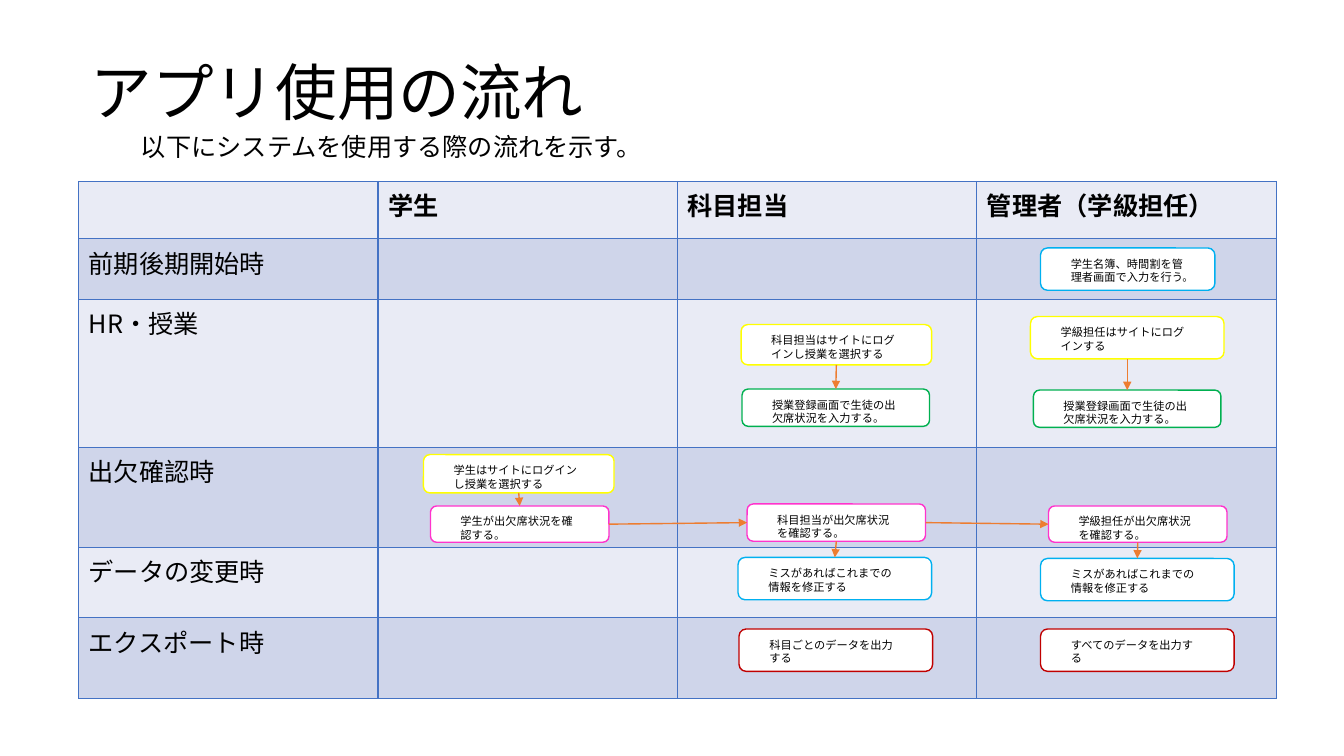
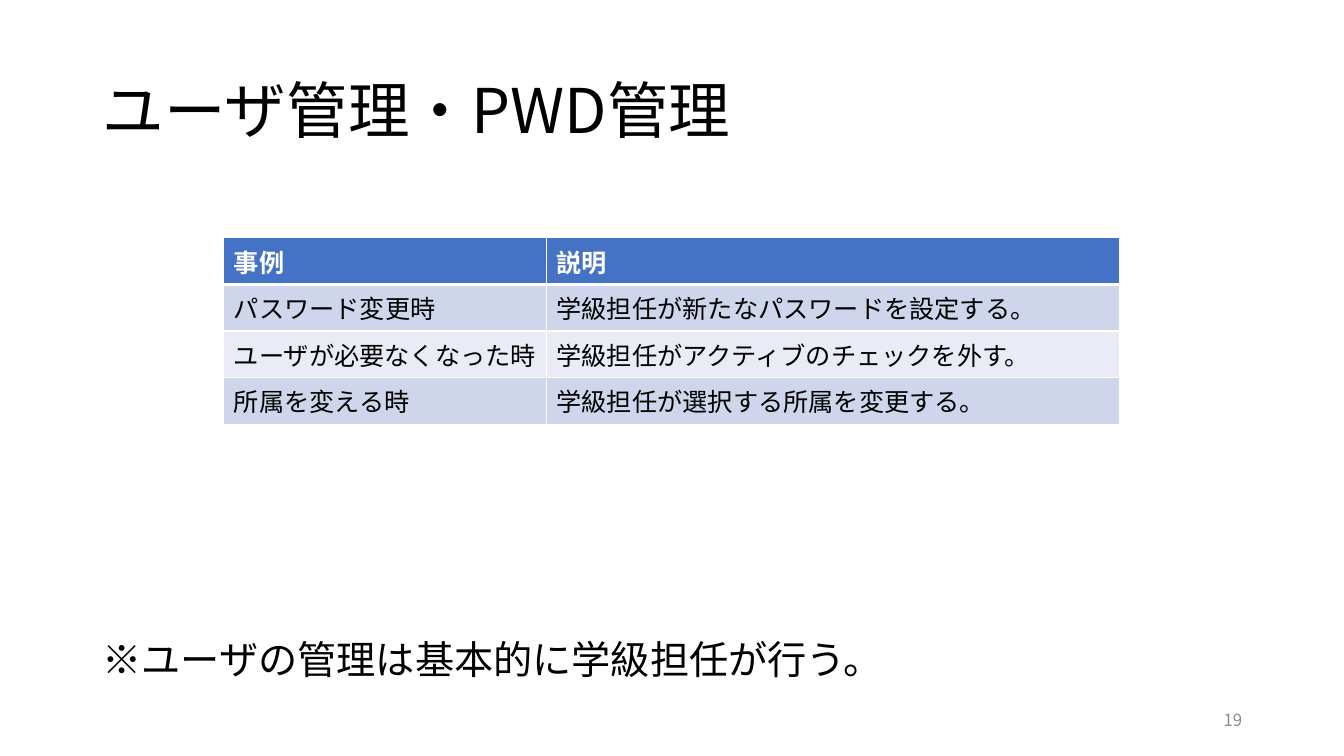
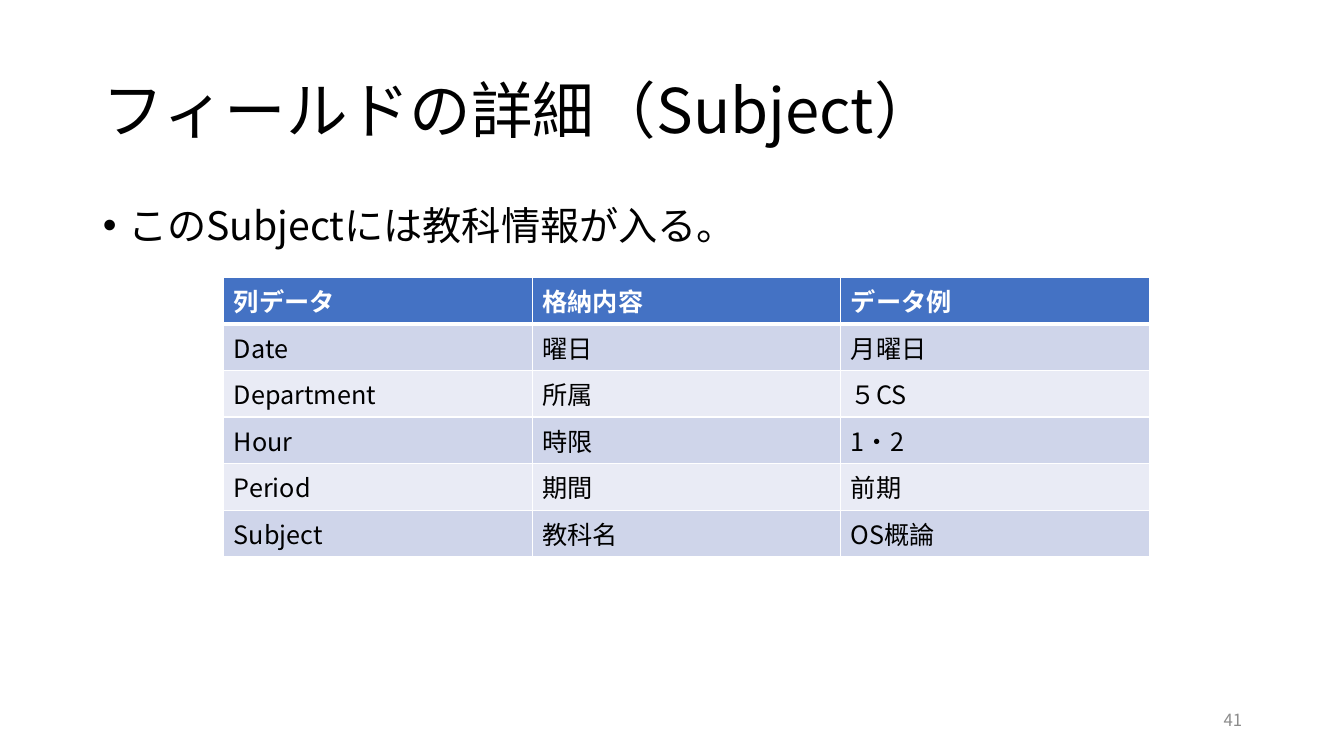
from lxml import etree
from pptx import Presentation
from pptx.dml.color import RGBColor
from pptx.enum import shapes, text
from pptx.oxml.ns import qn
from pptx.util import Inches, Pt

FONT = "Noto Sans CJK JP"
HUES = {
    "ink": "000000", "paper": "FFFFFF", "gray": "8C8C8C",
    "head": "4472C4", "band": "CFD5EA", "pale": "E9EBF5",
    "arrow": "ED7D31", "sky": "00B0F0", "green": "00B050",
    "yellow": "FFFF00", "pink": "FF33CC", "red": "C00000",
}
TOP, LEFT, BOTTOM, RIGHT = range(4)


def hue(name):
    return RGBColor.from_string(HUES[name])


class Deck:
    def __init__(self):
        self.prs = Presentation()
        self.prs.slide_width = Inches(13.33)
        self.prs.slide_height = Inches(7.5)
        self.slide = None

    def start(self, title, layout=5, x=0.92, y=0.4):
        """Add a slide with its title."""
        self.slide = self.prs.slides.add_slide(self.prs.slide_layouts[layout])
        frame = self.place(self.slide.shapes.title, x, y, 11.5, 1.45)
        frame.vertical_anchor = text.MSO_ANCHOR.MIDDLE
        para = self.put(frame, title, 44)
        para.line_spacing = 0.9

    def place(self, shape, x, y, w, h):
        """Move a text holder and return its frame, wrapped and not resized."""
        shape.left, shape.top = Inches(x), Inches(y)
        shape.width, shape.height = Inches(w), Inches(h)
        frame = shape.text_frame
        frame.word_wrap = True
        frame.auto_size = text.MSO_AUTO_SIZE.NONE
        return frame

    def put(self, frame, words, size, color="ink", bold=False):
        """Add a styled run to the first paragraph and return that paragraph."""
        para = frame.paragraphs[0]
        para.alignment = text.PP_ALIGN.LEFT
        run = para.add_run()
        run.text = words
        font = run.font
        font.size, font.bold, font.name = Pt(size), bold, FONT
        font.color.rgb = hue(color)
        etree.SubElement(run._r.get_or_add_rPr(), qn("a:ea"), typeface=FONT)
        return para

    def label(self, words, x, y, w, h, size, color="ink"):
        box = self.slide.shapes.add_textbox(0, 0, 0, 0)
        frame = self.place(box, x, y, w, h)
        return self.put(frame, words, size, color)

    def page(self, number):
        para = self.label(number, 9.42, 6.99, 3, 0.36, 12, "gray")
        para.alignment = text.PP_ALIGN.RIGHT

    def bullet(self, words):
        frame = self.place(self.slide.placeholders[1], 0.92, 2, 11.5, 4.76)
        para = self.put(frame, words, 28)
        para.line_spacing, para.space_before = 0.9, Pt(10)
        props = para._p.get_or_add_pPr()
        props.set("marL", str(Inches(0.25)))
        props.set("indent", str(Inches(-0.25)))

    def edge(self, cell, side, color, width):
        line = etree.SubElement(cell._tc.get_or_add_tcPr(),
                                qn("a:ln" + side), w=str(Pt(width)))
        fill = etree.SubElement(line, qn("a:solidFill"))
        etree.SubElement(fill, qn("a:srgbClr"), val=HUES[color])

    def table(self, x, y, cols, rows, data, dark=True):
        """Add a banded table; dark gives it a blue head and white rules."""
        grid = self.slide.shapes.add_table(
            len(rows), len(cols), Inches(x), Inches(y),
            Inches(sum(cols)), Inches(sum(rows))).table
        grid.first_row = grid.horz_banding = False
        for col, w in zip(grid.columns, cols):
            col.width = Inches(w)
        for row, h in zip(grid.rows, rows):
            row.height = Inches(h)
        for r, line in enumerate(data):
            top = dark and r == 0
            for c, words in enumerate(line):
                cell = grid.cell(r, c)
                for side in "LRTB":
                    thick = dark and (r, side) in ((0, "B"), (1, "T"))
                    self.edge(cell, side, "paper" if dark else "head",
                              3 if thick else 1)
                cell.fill.solid()
                cell.fill.fore_color.rgb = hue(
                    "head" if top else "band" if r % 2 else "pale")
                if words:
                    self.put(cell.text_frame, words, 18,
                             "paper" if top else "ink", r == 0)

    def step(self, words, color, x, y, w, h):
        """Add a rounded box of the flow."""
        box = self.slide.shapes.add_shape(
            shapes.MSO_SHAPE.ROUNDED_RECTANGLE, 0, 0, 0, 0)
        box.shadow.inherit = False
        box.fill.solid()
        box.fill.fore_color.rgb = hue("paper")
        box.line.color.rgb = hue(color)
        box.line.width = Pt(1)
        frame = self.place(box, x, y, w, h)
        frame.vertical_anchor = text.MSO_ANCHOR.TOP
        frame.margin_left = frame.margin_right = Inches(0.28)
        frame.margin_top, frame.margin_bottom = Inches(0.07), 0
        self.put(frame, words, 8)
        return box

    def arrow(self, tail, head, out=BOTTOM, into=TOP):
        link = self.slide.shapes.add_connector(
            shapes.MSO_CONNECTOR.STRAIGHT, 0, 0, 0, 0)
        link.begin_connect(tail, out)
        link.end_connect(head, into)
        link.line.color.rgb = hue("arrow")
        link.line.width = Pt(1)
        etree.SubElement(link.line._get_or_add_ln(), qn("a:tailEnd"),
                         type="triangle")
        etree.SubElement(link._element.spPr, qn("a:effectLst"))


def flow(deck):
    deck.start("アプリ使用の流れ", x=0.8, y=0.22)
    heads = ["", "学生", "科目担当", "管理者（学級担任）"]
    times = ["前期後期開始時", "HR・授業", "出欠確認時", "データの変更時", "エクスポート時"]
    deck.table(0.78, 1.8, [2.97] * 4, [0.57, 0.6, 1.47, 0.99, 0.7, 0.8],
               [heads] + [[t, "", "", ""] for t in times], dark=False)
    deck.label("以下にシステムを使用する際の流れを示す。", 1.3, 1.25, 5.58, 0.4, 18)

    enter = "授業登録画面で生徒の出欠席状況を入力する。"
    amend = "ミスがあればこれまでの情報を修正する"
    steps = {
        "setup": ("学生名簿、時間割を管理者画面で入力を行う。", "sky", 10.32, 2.46, 1.73, 0.42),
        "pupil in": ("学生はサイトにログインし授業を選択する", "yellow", 4.2, 4.51, 1.89, 0.38),
        "pupil check": ("学生が出欠席状況を確認する。", "pink", 4.27, 5.02, 1.77, 0.36),
        "staff in": ("科目担当はサイトにログインし授業を選択する", "yellow", 7.35, 3.22, 1.89, 0.4),
        "staff enter": (enter, "green", 7.36, 3.86, 1.86, 0.37),
        "staff check": ("科目担当が出欠席状況を確認する。", "pink", 7.41, 5, 1.77, 0.37),
        "staff amend": (amend, "sky", 7.32, 5.53, 1.92, 0.42),
        "staff export": ("科目ごとのデータを出力する", "red", 7.33, 6.24, 1.92, 0.42),
        "admin in": ("学級担任はサイトにログインする", "yellow", 10.22, 3.14, 1.92, 0.42),
        "admin enter": (enter, "green", 10.25, 3.87, 1.86, 0.37),
        "admin check": ("学級担任が出欠席状況を確認する。", "pink", 10.4, 5.02, 1.77, 0.36),
        "admin amend": (amend, "sky", 10.32, 5.54, 1.92, 0.42),
        "admin export": ("すべてのデータを出力する", "red", 10.32, 6.24, 1.92, 0.42),
    }
    boxes = {name: deck.step(*args) for name, args in steps.items()}
    deck.arrow(boxes["pupil in"], boxes["pupil check"])
    for who in ("staff", "admin"):
        for tail, head in (("in", "enter"), ("check", "amend")):
            deck.arrow(boxes[f"{who} {tail}"], boxes[f"{who} {head}"])
    for tail, head in (("pupil", "staff"), ("staff", "admin")):
        deck.arrow(boxes[f"{tail} check"], boxes[f"{head} check"], RIGHT, LEFT)


def users(deck):
    deck.start("ユーザ管理・PWD管理")
    deck.table(2.22, 2.36, [3.2, 5.68], [0.41] * 4, [
        ["事例", "説明"],
        ["パスワード変更時", "学級担任が新たなパスワードを設定する。"],
        ["ユーザが必要なくなった時", "学級担任がアクティブのチェックを外す。"],
        ["所属を変える時", "学級担任が選択する所属を変更する。"],
    ])
    note = deck.label("※ユーザの管理は基本的に学級担任が行う。", 0.92, 6.31, 11.5, 0.64, 28)
    note.line_spacing, note.space_before = 0.9, Pt(10)
    deck.page("19")


def fields(deck):
    deck.start("フィールドの詳細（Subject）", layout=1)
    deck.bullet("このSubjectには教科情報が入る。")
    deck.table(2.22, 2.75, [3.06] * 3, [0.41] * 6, [
        ["列データ", "格納内容", "データ例"],
        ["Date", "曜日", "月曜日"],
        ["Department", "所属", "５CS"],
        ["Hour", "時限", "1・2"],
        ["Period", "期間", "前期"],
        ["Subject", "教科名", "OS概論"],
    ])
    deck.page("41")


def main():
    deck = Deck()
    for build in (flow, users, fields):
        build(deck)
    deck.prs.save("out.pptx")


if __name__ == "__main__":
    main()
